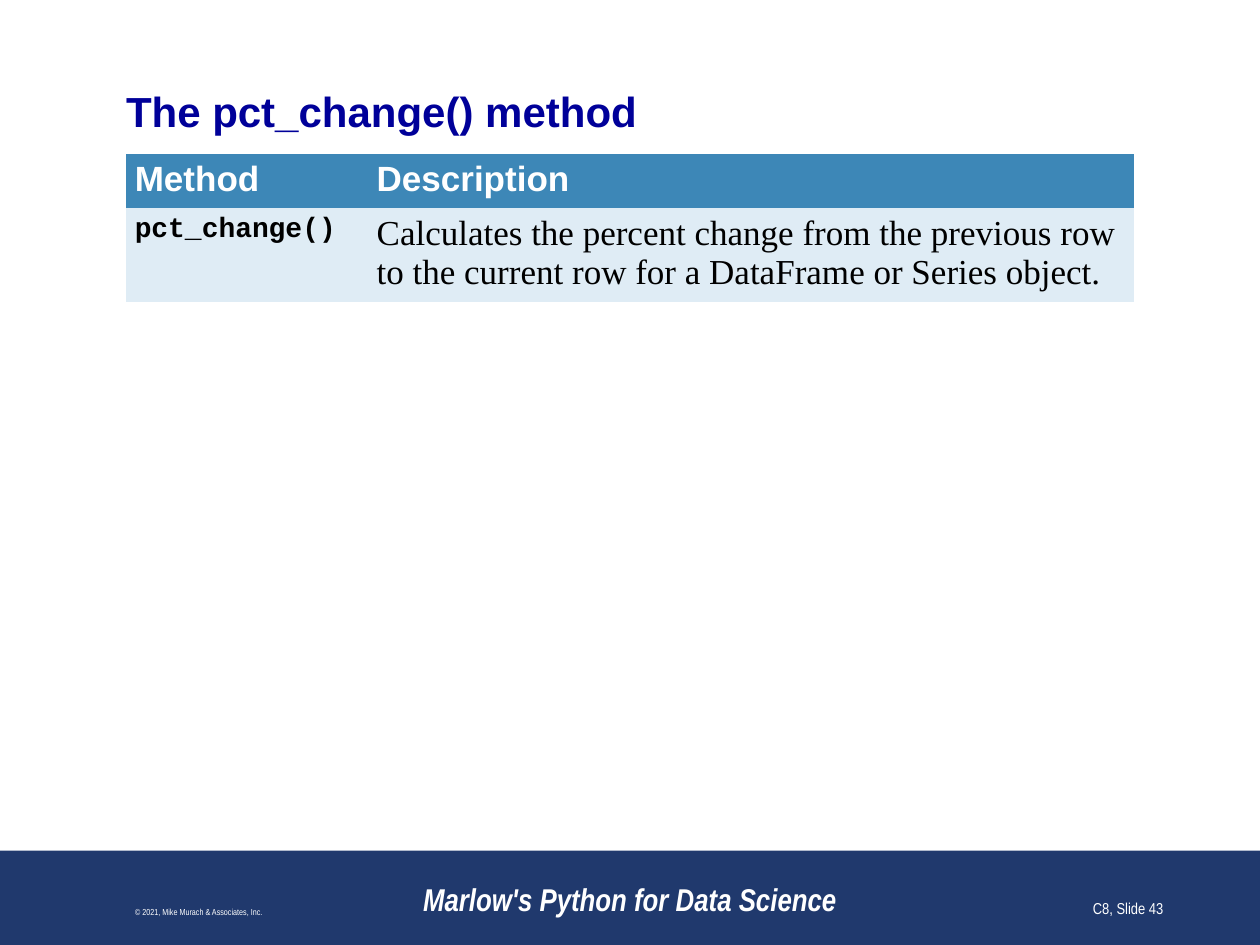
from pptx import Presentation
from pptx.dml.color import RGBColor
from pptx.enum.shapes import MSO_SHAPE
from pptx.enum.text import MSO_ANCHOR, PP_ALIGN
from pptx.util import Inches, Pt

NAVY = RGBColor(0x20, 0x39, 0x6D)
BLUE = RGBColor(0x00, 0x00, 0x99)
TEAL = RGBColor(0x3D, 0x87, 0xB7)
PALE = RGBColor(0xDF, 0xEC, 0xF5)
WHITE = RGBColor(0xFF, 0xFF, 0xFF)
BLACK = RGBColor(0x00, 0x00, 0x00)
PLAIN = "{2D5ABB26-0587-4C30-8999-92F81FD0307C}"


class Deck:
    fonts = {
        "title": (dict(name="Arial", size=Pt(24), bold=True), BLUE),
        "head": (dict(name="Arial", size=Pt(20), bold=True), WHITE),
        "code": (dict(name="Courier New", size=Pt(16), bold=True), BLACK),
        "body": (dict(name="Times New Roman", size=Pt(20), bold=False), BLACK),
        "book": (dict(name="Arial Narrow", size=Pt(18), bold=True, italic=True), WHITE),
        "legal": (dict(name="Arial Narrow", size=Pt(5)), WHITE),
        "page": (dict(name="Arial Narrow", size=Pt(9)), WHITE),
    }

    def __init__(self):
        self.show = Presentation()
        self.show.slide_width = Inches(10)
        self.show.slide_height = Inches(7.5)
        self.slide = self.show.slides.add_slide(self.show.slide_layouts[5])

    def label(self, frame, text, style, align=PP_ALIGN.LEFT):
        frame.text = text
        line = frame.paragraphs[0]
        line.alignment = align
        look, color = self.fonts[style]
        font = line.runs[0].font
        for key, value in look.items():
            setattr(font, key, value)
        font.color.rgb = color

    def band(self, x, y, w, h, color):
        box = self.slide.shapes.add_shape(
            MSO_SHAPE.RECTANGLE, Inches(x), Inches(y), Inches(w), Inches(h))
        box.shadow.inherit = False
        box.fill.solid()
        box.fill.fore_color.rgb = color
        box.line.fill.background()

    def title(self, text, x, y, w, h):
        box = self.slide.shapes.title
        place = dict(left=x, top=y, width=w, height=h)
        for key, value in place.items():
            setattr(box, key, Inches(value))
        frame = box.text_frame
        form = dict(margin_left=0, margin_top=0, margin_right=0, margin_bottom=0,
                    vertical_anchor=MSO_ANCHOR.MIDDLE, word_wrap=True)
        for key, value in form.items():
            setattr(frame, key, value)
        self.label(frame, text, "title")

    def table(self, rows, x, y, widths, heights, styles, fills):
        grid = self.slide.shapes.add_table(
            len(rows), len(widths), Inches(x), Inches(y),
            Inches(sum(widths)), Inches(sum(heights))).table
        grid._tbl.tblPr[0].text = PLAIN
        for col, width in zip(grid.columns, widths):
            col.width = Inches(width)
        form = dict(margin_left=Inches(0.07), margin_right=Inches(0.07),
                    margin_top=Inches(0.05), margin_bottom=Inches(0.05))
        for r, row in enumerate(rows):
            grid.rows[r].height = Inches(heights[r])
            for c, text in enumerate(row):
                cell = grid.cell(r, c)
                for key, value in form.items():
                    setattr(cell, key, value)
                cell.fill.solid()
                cell.fill.fore_color.rgb = fills[r]
                self.label(cell.text_frame, text, styles[r][c])

    def foot(self, text, x, w, style, align):
        box = self.slide.shapes.add_textbox(
            Inches(x), Inches(6.83), Inches(w), Inches(0.5))
        frame = box.text_frame
        frame.word_wrap = True
        frame.vertical_anchor = MSO_ANCHOR.BOTTOM
        self.label(frame, text, style, align)


def main():
    deck = Deck()
    deck.band(0, 6.75, 10, 0.75, NAVY)
    deck.title("The pct_change() method", 1, 0.68, 8, 0.4)
    deck.table(
        [("Method", "Description"),
         ("pct_change()",
          "Calculates the percent change from the previous row "
          "to the current row for a DataFrame or Series object.")],
        1, 1.22, (1.92, 6.08), (0.43, 0.75),
        (("head", "head"), ("code", "body")), (TEAL, PALE))
    deck.foot("Marlow's Python for Data Science", 3, 4, "book", PP_ALIGN.CENTER)
    deck.foot("© 2021, Mike Murach & Associates, Inc.", 0.08, 3, "legal", PP_ALIGN.CENTER)
    deck.foot("C8, Slide 43", 7.25, 2.08, "page", PP_ALIGN.RIGHT)
    deck.show.save("out.pptx")


if __name__ == "__main__":
    main()
